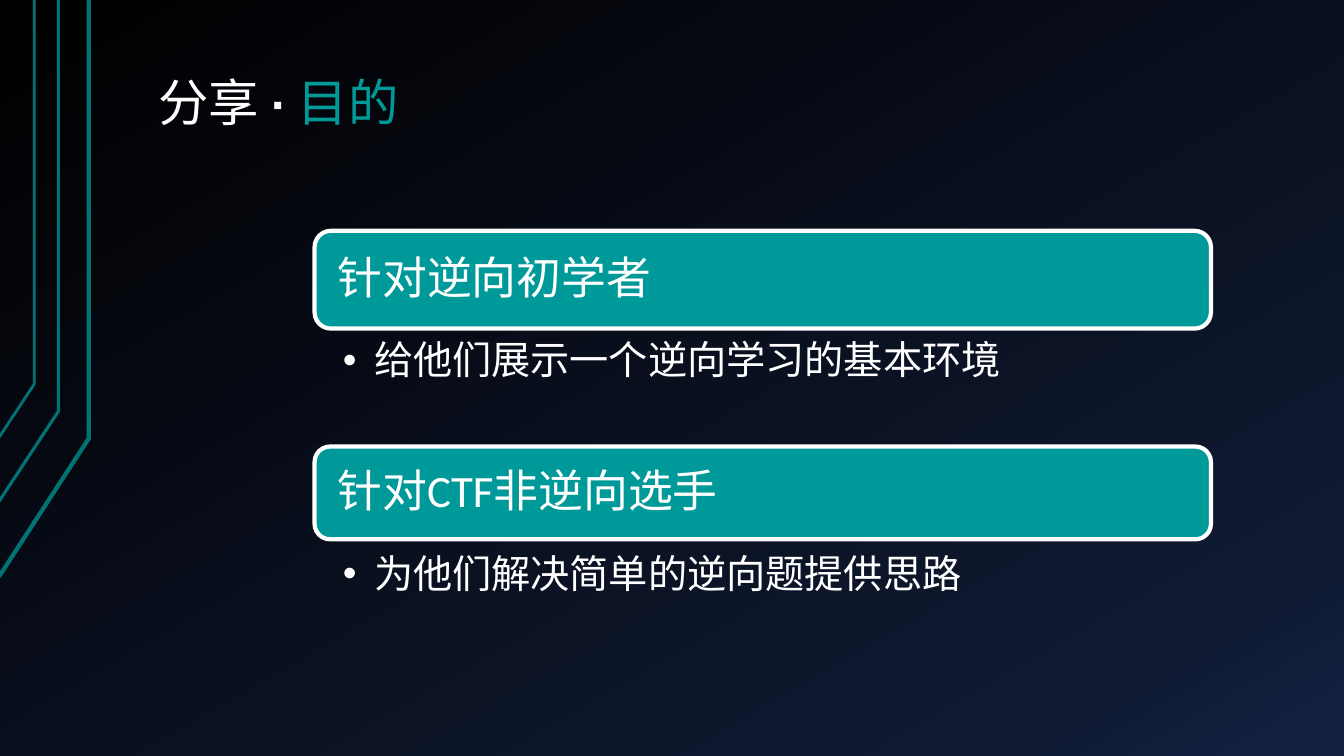
from copy import deepcopy
from pptx import Presentation
from pptx.dml.color import RGBColor
from pptx.enum.shapes import MSO_SHAPE
from pptx.enum.text import MSO_ANCHOR, MSO_AUTO_SIZE, PP_ALIGN
from pptx.oxml.ns import qn
from pptx.util import Inches, Pt

ROUND = MSO_SHAPE.ROUNDED_RECTANGLE
TOP, MIDDLE = MSO_ANCHOR.TOP, MSO_ANCHOR.MIDDLE
FIXED = MSO_AUTO_SIZE.NONE
LEFT = PP_ALIGN.LEFT

WHITE = RGBColor(255, 255, 255)
TEAL = RGBColor(0, 153, 153)
DEEP = RGBColor(0, 115, 115)
BLACK = RGBColor(0, 0, 0)
NAVY = RGBColor(15, 25, 49)
BLUE = RGBColor(20, 34, 66)


class Deck:
    head = "Cabin"
    face = "Calibri"

    def __init__(self, slide):
        self.slide = slide

    def back(self, stops, angle):
        fill = self.slide.background.fill
        fill.gradient()
        fill.gradient_angle = 360 - angle
        items = self.slide.element.find(".//" + qn("a:gsLst"))
        items.append(deepcopy(items[-1]))
        for stop, (place, color) in zip(fill.gradient_stops, stops):
            stop.position = place
            stop.color.rgb = color

    def place(self, shape, left, top, width, height):
        shape.left, shape.top = Inches(left), Inches(top)
        shape.width, shape.height = Inches(width), Inches(height)

    def frame(self, shape, anchor, left, top, right):
        frame = shape.text_frame
        frame.word_wrap = True
        frame.auto_size = FIXED
        frame.vertical_anchor = anchor
        frame.margin_left, frame.margin_right = Inches(left), Inches(right)
        frame.margin_top = frame.margin_bottom = Inches(top)
        return frame.paragraphs[0]

    def label(self, para, text, size):
        para.text = text
        para.alignment = LEFT
        para.line_spacing = 0.9
        para.space_before = Pt(0)
        para.font.name = self.face
        para.font.size = Pt(size)
        para.font.color.rgb = WHITE

    def title(self, parts, *box):
        shape = self.slide.shapes.title
        self.place(shape, *box)
        para = self.frame(shape, TOP, 0.1, 0.05, 0.1)
        para.alignment = LEFT
        para.font.name = self.head
        for text, size, color in parts:
            run = para.add_run()
            run.text = text
            run.font.size = Pt(size)
            run.font.color.rgb = color

    def rail(self, points, width):
        start, *rest = [(Inches(x), Inches(y)) for x, y in points]
        outline = self.slide.shapes.build_freeform(*start)
        outline.add_line_segments(rest, close=False)
        shape = outline.convert_to_shape()
        shape.shadow.inherit = False
        shape.fill.background()
        shape.line.color.rgb = DEEP
        shape.line.width = Pt(width)

    def card(self, text, *box):
        shape = self.slide.shapes.add_shape(ROUND, *map(Inches, box))
        shape.shadow.inherit = False
        shape.fill.solid()
        shape.fill.fore_color.rgb = TEAL
        shape.line.color.rgb = WHITE
        shape.line.width = Pt(3)
        self.label(self.frame(shape, MIDDLE, 0.18, 0.13, 0.18), text, 32)

    def points(self, shape, text, *box):
        self.place(shape, *box)
        para = self.frame(shape, TOP, 0.28, 0.04, 0.22)
        self.label(para, text, 28)
        props = para._p.get_or_add_pPr()
        props.set("marL", str(Inches(0.31)))
        props.set("indent", str(Inches(-0.31)))


prs = Presentation()
prs.slide_width, prs.slide_height = Inches(13.33), Inches(7.5)
slide = prs.slides.add_slide(prs.slide_layouts[3])
deck = Deck(slide)
deck.back([(0, BLACK), (0.85, NAVY), (1, BLUE)], 60)

for x, bend, left, end, width in [
    (0.88, 4.35, -0.01, 5.72, 3),
    (0.58, 4.08, -0.02, 4.99, 2.25),
    (0.34, 3.81, -0.01, 4.34, 2),
]:
    deck.rail([(left, end), (x, bend), (x, 0)], width)

deck.title(
    [("分享", 36, WHITE), (" · ", 40, WHITE), ("目的", 36, TEAL)],
    1.47, 0.6, 2.62, 1.45,
)

goals = [
    ("针对逆向初学者", "给他们展示一个逆向学习的基本环境", 2.29, 0.97, 3.34),
    ("针对CTF非逆向选手", "为他们解决简单的逆向题提供思路", 4.43, 0.92, 5.46),
]
for body, (name, aim, top, height, low) in zip(list(slide.placeholders)[1:], goals):
    deck.card(name, 3.12, top, 8.89, height)
    deck.points(body, aim, 3.12, low, 8.89, 1.18)

prs.save("out.pptx")
